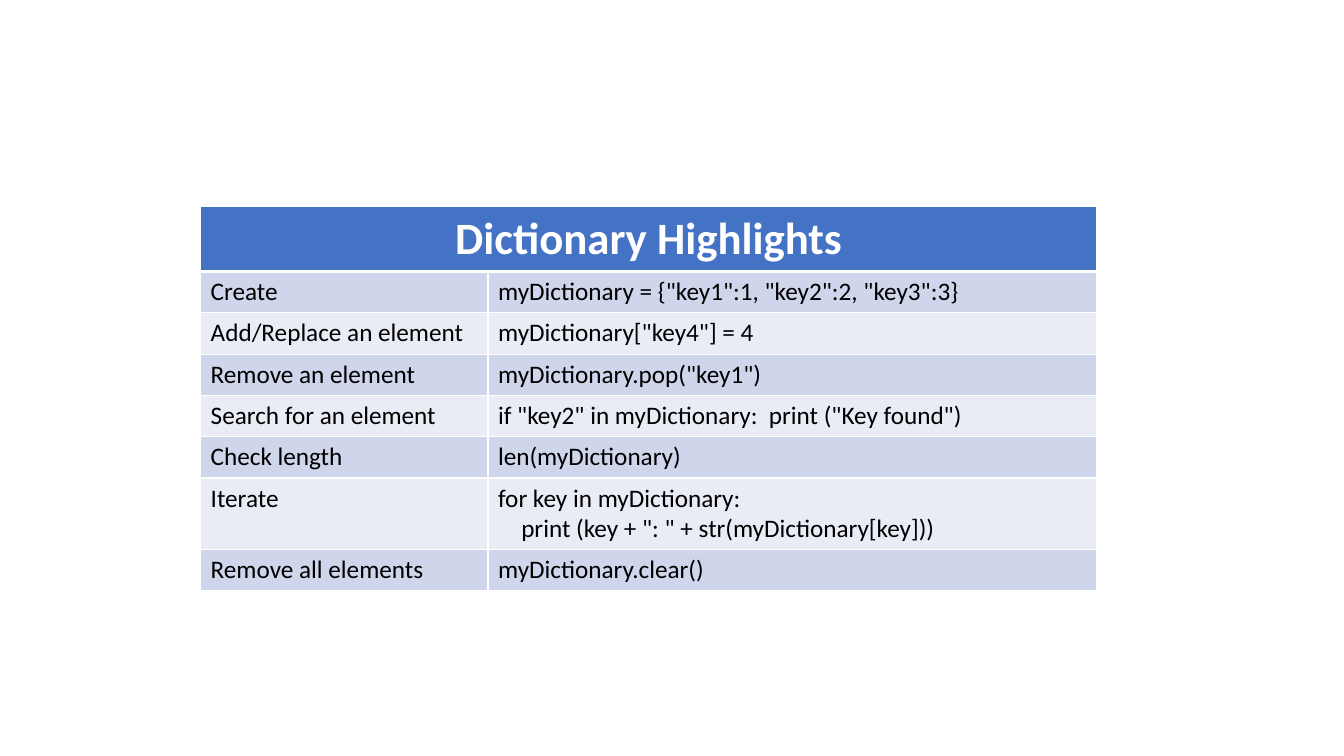
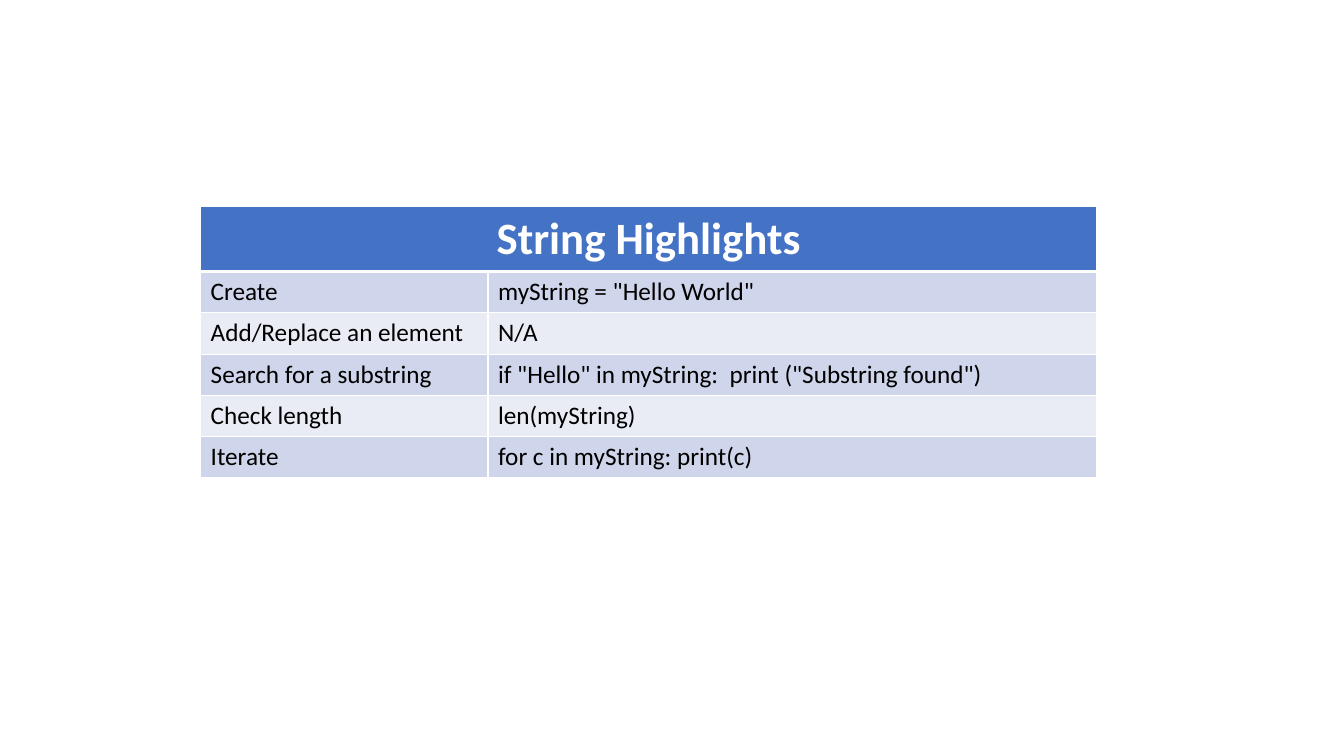
import pptx
import pptx.util
import pptx.dml.color
import pptx.enum.text
import pptx.oxml.ns
import lxml.etree

Inches, Pt = pptx.util.Inches, pptx.util.Pt

# Content: title, then (task, code lines)
TABLES = [
    ("Dictionary Highlights", [
        ("Create", ['myDictionary = {"key1":1, "key2":2, "key3":3}']),
        ("Add/Replace an element", ['myDictionary["key4"] = 4']),
        ("Remove an element", ['myDictionary.pop("key1")']),
        ("Search for an element", ['if "key2" in myDictionary:  print ("Key found")']),
        ("Check length", ["len(myDictionary)"]),
        ("Iterate", ["for key in myDictionary:",
                     'print (key + ": " + str(myDictionary[key]))']),
        ("Remove all elements", ["myDictionary.clear()"]),
    ]),
    ("String Highlights", [
        ("Create", ['myString = "Hello World"']),
        ("Add/Replace an element", ["N/A"]),
        ("Search for a substring", ['if "Hello" in myString:  print ("Substring found")']),
        ("Check length", ["len(myString)"]),
        ("Iterate", ["for c in myString: print(c)"]),
    ]),
]

# Shared style
COLORS = {"header": "4472C4", "odd": "CFD5EA", "even": "E9EBF5",
          "text": "000000", "white": "FFFFFF"}
FONT = "Calibri"
LEFT, TOP = 1.99, 2.05
COLUMNS = (2.85, 6.04)
HEADER_HEIGHT, ROW_HEIGHT, EXTRA_LINE = 0.64, 0.41, 0.3
CODE_INDENT = 0.23
THIN, THICK = 1, 3


def rgb(name):
    return pptx.dml.color.RGBColor.from_string(COLORS[name])


def set_borders(cell, top, bottom):
    """Draw white lines on all four sides, widths in points."""
    properties = cell._tc.get_or_add_tcPr()
    qn = pptx.oxml.ns.qn
    for side, width in (("L", THIN), ("R", THIN), ("T", top), ("B", bottom)):
        line = lxml.etree.SubElement(properties, qn("a:ln" + side), w=str(Pt(width)))
        fill = lxml.etree.SubElement(line, qn("a:solidFill"))
        lxml.etree.SubElement(fill, qn("a:srgbClr"), val=COLORS["white"])


def style_cell(cell, fill, top=THIN, bottom=THIN):
    set_borders(cell, top, bottom)
    cell.fill.solid()
    cell.fill.fore_color.rgb = rgb(fill)


def write_lines(cell, lines, size, color, bold=False, centered=False):
    """Write one paragraph per line; lines after the first are indented."""
    frame = cell.text_frame
    for index, line in enumerate(lines):
        paragraph = frame.add_paragraph() if index else frame.paragraphs[0]
        if index:
            paragraph._p.get_or_add_pPr().set("marL", str(Inches(CODE_INDENT)))
        if centered:
            paragraph.alignment = pptx.enum.text.PP_ALIGN.CENTER
        run = paragraph.add_run()
        run.text = line
        run.font.name = FONT
        run.font.size = Pt(size)
        run.font.bold = bold
        run.font.color.rgb = rgb(color)


def add_highlights(slide, title, entries):
    heights = [HEADER_HEIGHT] + [ROW_HEIGHT + EXTRA_LINE * (len(code) - 1)
                                 for _, code in entries]
    table = slide.shapes.add_table(
        len(heights), len(COLUMNS), Inches(LEFT), Inches(TOP),
        Inches(sum(COLUMNS)), Inches(sum(heights))).table
    for column, width in zip(table.columns, COLUMNS):
        column.width = Inches(width)
    for row, height in zip(table.rows, heights):
        row.height = Inches(height)

    # Header across both columns
    header = table.cell(0, 0)
    header.merge(table.cell(0, 1))
    for cell in table.rows[0].cells:
        style_cell(cell, "header", bottom=THICK)
    write_lines(header, [title], 32, "white", bold=True, centered=True)

    # Banded body rows
    for number, (task, code) in enumerate(entries, start=1):
        for column, lines in enumerate(([task], code)):
            cell = table.cell(number, column)
            style_cell(cell, "odd" if number % 2 else "even",
                       top=THICK if number == 1 else THIN)
            write_lines(cell, lines, 18, "text")


def main():
    presentation = pptx.Presentation()
    presentation.slide_width = Inches(13.33)
    presentation.slide_height = Inches(7.5)
    for title, entries in TABLES:
        slide = presentation.slides.add_slide(presentation.slide_layouts[6])
        add_highlights(slide, title, entries)
    presentation.save("out.pptx")


if __name__ == "__main__":
    main()
